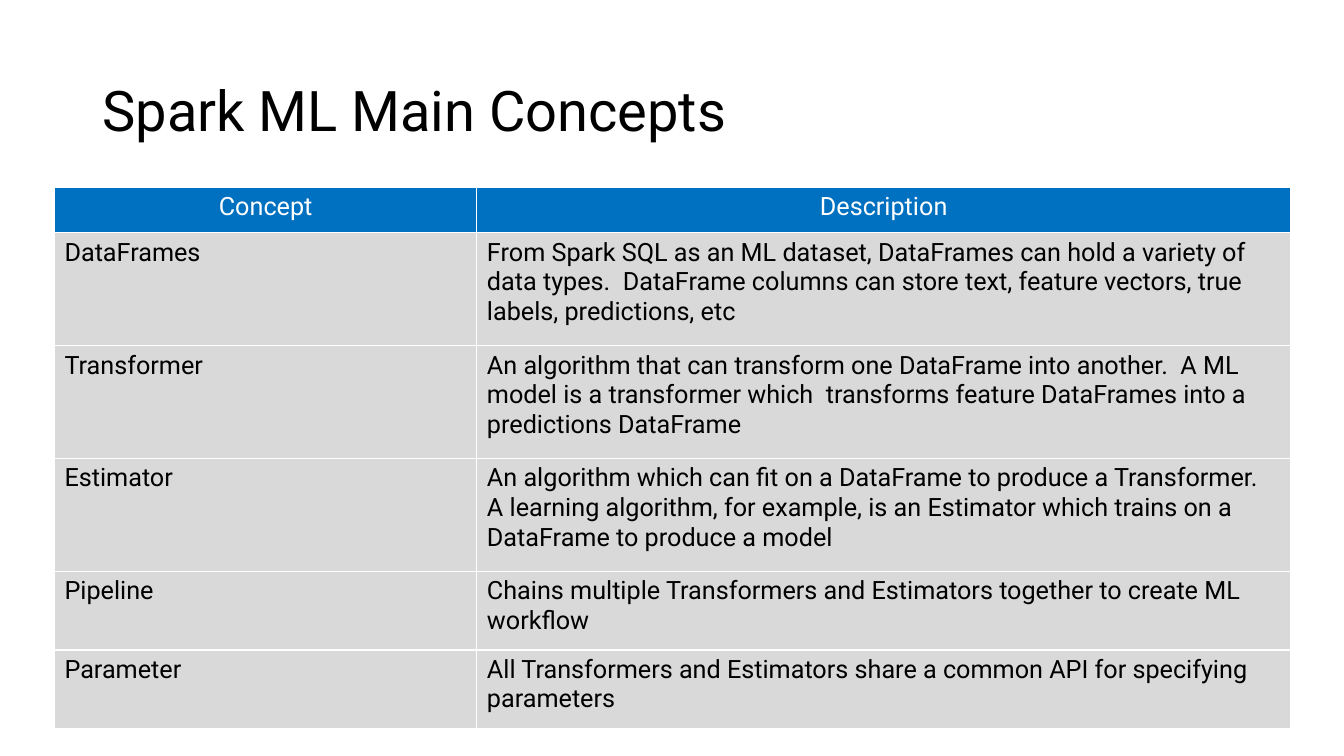
from typing import NamedTuple

from pptx import Presentation
from pptx.dml.color import RGBColor
from pptx.enum.text import MSO_ANCHOR, PP_ALIGN
from pptx.util import Emu, Pt

FONT = "Roboto"
BLACK, WHITE, BLUE, GRAY = "000000", "FFFFFF", "0070C0", "D9D9D9"
WIDTHS = (419, 807)


class Row(NamedTuple):
    """One table row with its height and the space after its text."""
    name: str
    text: str
    high: int
    after: int = 6


HEAD = Row("Concept", "Description", 45, 0)
ROWS = [
    HEAD,
    Row("DataFrames", "From Spark SQL as an ML dataset, DataFrames can hold a variety of data types.  DataFrame columns can store text, feature vectors, true labels, predictions, etc", 112),
    Row("Transformer", "An algorithm that can transform one DataFrame into another.  A ML model is a transformer which  transforms feature DataFrames into a predictions DataFrame", 112),
    Row("Estimator", "An algorithm which can fit on a DataFrame to produce a Transformer.  A learning algorithm, for example, is an Estimator which trains on a DataFrame to produce a model", 112, 0),
    Row("Pipeline", "Chains multiple Transformers and Estimators together to create ML workflow", 78),
    Row("Parameter", "All Transformers and Estimators share a common API for specifying parameters", 78),
]


def px(n: int) -> Emu:
    """Turn px, at 100 to the inch, into EMU."""
    return Emu(n * 9144)


def paint(color, code: str) -> None:
    """Set a colour from a hex string."""
    color.rgb = RGBColor.from_string(code)


def write(para, text: str, size: int, code: str) -> None:
    """Add one run of text to a paragraph."""
    run = para.add_run()
    run.text = text
    run.font.name = FONT
    run.font.size = Pt(size)
    run.font.bold = False
    paint(run.font.color, code)


def draw_title(slide, text: str) -> None:
    """Draw the slide title."""
    frame = slide.shapes.add_textbox(px(92), px(40), px(1150), px(145)).text_frame
    frame.word_wrap = True
    frame.vertical_anchor = MSO_ANCHOR.MIDDLE
    para = frame.paragraphs[0]
    para.line_spacing = 0.9
    write(para, text, 40, BLACK)


def fill_cell(cell, text: str, head: bool, after: int) -> None:
    """Fill one cell with its colour and text."""
    cell.fill.solid()
    paint(cell.fill.fore_color, BLUE if head else GRAY)
    para = cell.text_frame.paragraphs[0]
    para.alignment = PP_ALIGN.CENTER if head else PP_ALIGN.LEFT
    if after:
        para.space_after = Pt(after)
    write(para, text, 18, WHITE if head else BLACK)


def draw_table(slide, rows: list[Row]) -> None:
    """Draw the table of concepts."""
    high = sum(row.high for row in rows)
    frame = slide.shapes.add_table(
        len(rows), len(WIDTHS), px(54), px(186), px(sum(WIDTHS)), px(high))
    table = frame.table
    table.horz_banding = False
    for col, wide in zip(table.columns, WIDTHS):
        col.width = px(wide)
    for line, row in zip(table.rows, rows):
        line.height = px(row.high)
        name, text = line.cells
        fill_cell(name, row.name, row is HEAD, 0)
        fill_cell(text, row.text, row is HEAD, row.after)


def main() -> None:
    """Build and save the slide."""
    deck = Presentation()
    deck.slide_width, deck.slide_height = px(1333), px(750)
    slide = deck.slides.add_slide(deck.slide_layouts[6])
    draw_title(slide, "Spark ML Main Concepts")
    draw_table(slide, ROWS)
    deck.save("out.pptx")


if __name__ == "__main__":
    main()
